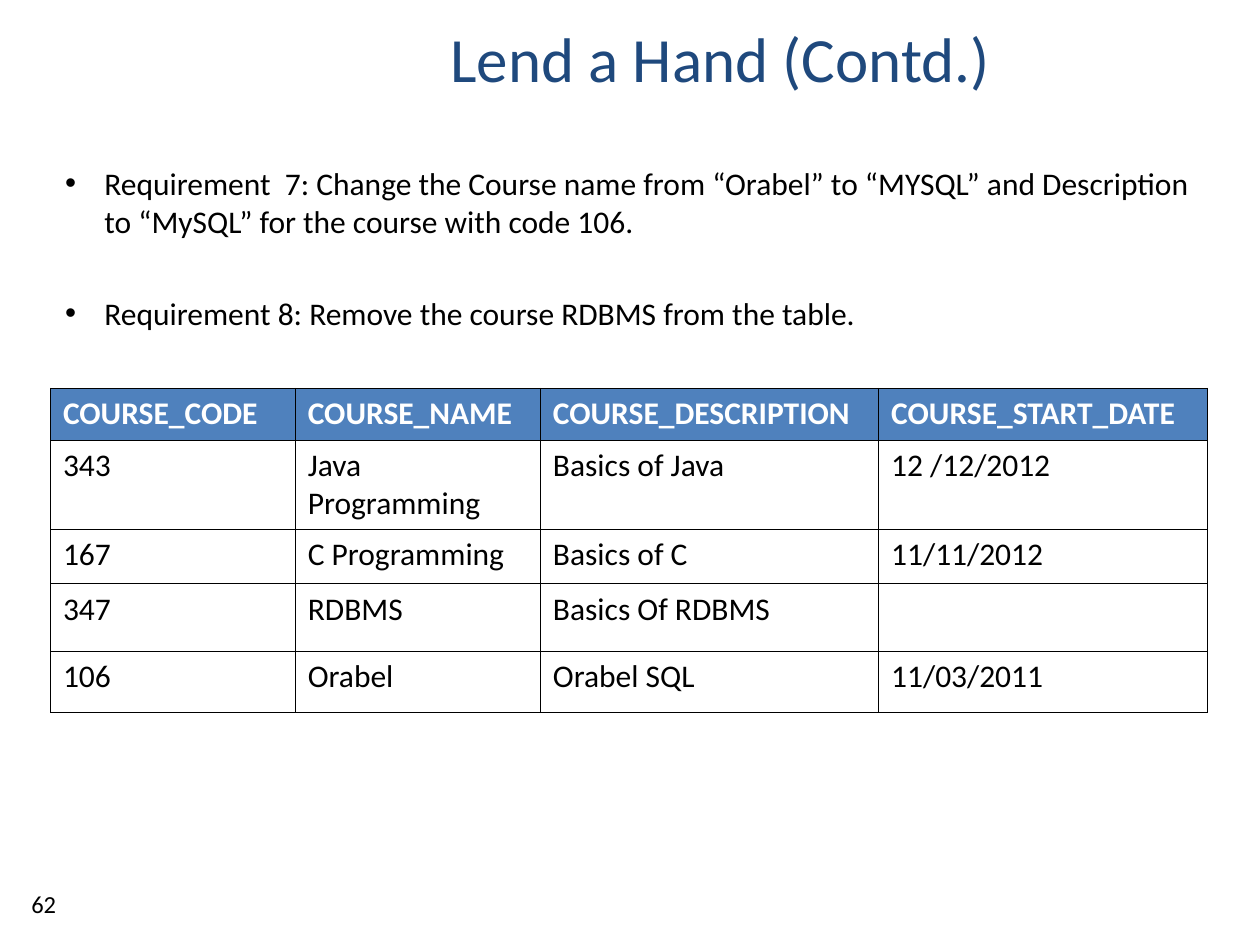
from lxml import etree
from pptx import Presentation
from pptx import util as u
from pptx.dml.color import RGBColor
from pptx.enum import text as t
from pptx.oxml.ns import qn

Pt = u.Pt
FONT = "Calibri"
BLACK, WHITE, NAVY, BLUE = "000000", "FFFFFF", "1F497D", "4F81BD"

REQUIREMENTS = [
    "Requirement  7: Change the Course name from “Orabel” to “MYSQL” and "
    "Description to “MySQL” for the course with code 106.",
    "Requirement 8: Remove the course RDBMS from the table.",
]
COURSES = [
    ["COURSE_CODE", "COURSE_NAME", "COURSE_DESCRIPTION", "COURSE_START_DATE"],
    ["343", "Java Programming", "Basics of Java", "12 /12/2012"],
    ["167", "C Programming", "Basics of C", "11/11/2012"],
    ["347", "RDBMS", "Basics Of RDBMS", ""],
    ["106", "Orabel", "Orabel SQL", "11/03/2011"],
]
COLUMN_WIDTHS = [139.9, 140.1, 193.3, 187.7]
ROW_HEIGHTS = [29.6, 50.6, 31, 38.7, 34.8]


def color(value):
    return RGBColor.from_string(value)


def write(para, words, size=18, ink=BLACK, bold=False, align=t.PP_ALIGN.LEFT):
    para.alignment = align
    if words:
        span = para.add_run()
        span.text = words
        span.font.name, span.font.size, span.font.bold = FONT, Pt(size), bold
        span.font.color.rgb = color(ink)


def place(shape, box):
    shape.left, shape.top, shape.width, shape.height = map(Pt, box)


def add_bullet(para, indent):
    props = para._p.get_or_add_pPr()
    props.set("marL", str(Pt(indent)))
    props.set("indent", str(-Pt(indent)))
    tint = etree.SubElement(props, qn("a:buClr"))
    etree.SubElement(tint, qn("a:srgbClr"), val=BLACK)
    etree.SubElement(props, qn("a:buFont"), typeface="Arial")
    etree.SubElement(props, qn("a:buChar"), char="•")


def add_borders(cell, width):
    props = cell._tc.get_or_add_tcPr()
    for index, side in enumerate(("a:lnL", "a:lnR", "a:lnT", "a:lnB")):
        line = etree.Element(qn(side), w=str(Pt(width)))
        fill = etree.SubElement(line, qn("a:solidFill"))
        etree.SubElement(fill, qn("a:srgbClr"), val=BLACK)
        props.insert(index, line)


def set_title(page, box, words):
    title = page.shapes.title
    place(title, box)
    frame = title.text_frame
    frame.vertical_anchor = t.MSO_ANCHOR.MIDDLE
    write(frame.paragraphs[0], words, size=36, ink=NAVY, align=t.PP_ALIGN.CENTER)


def set_requirements(page, box):
    body = page.placeholders[1]
    place(body, box)
    frame = body.text_frame
    frame.auto_size = t.MSO_AUTO_SIZE.NONE
    frame.vertical_anchor = t.MSO_ANCHOR.TOP
    for index, words in enumerate(REQUIREMENTS):
        para = frame.add_paragraph() if index else frame.paragraphs[0]
        add_bullet(para, 22.5)
        para.space_before = Pt(31 if index else 0)
        write(para, words)


def add_courses(page, left, top):
    table = page.shapes.add_table(
        len(COURSES), len(COLUMN_WIDTHS), Pt(left), Pt(top),
        Pt(sum(COLUMN_WIDTHS)), Pt(sum(ROW_HEIGHTS))).table
    for column, width in zip(table.columns, COLUMN_WIDTHS):
        column.width = Pt(width)
    for index, (row, height) in enumerate(zip(table.rows, ROW_HEIGHTS)):
        row.height = Pt(height)
        header = index == 0
        for cell, words in zip(row.cells, COURSES[index]):
            if header:
                cell.fill.solid()
                cell.fill.fore_color.rgb = color(BLUE)
            else:
                cell.fill.background()
            add_borders(cell, 0.45)
            write(cell.text_frame.paragraphs[0], words,
                  ink=WHITE if header else BLACK, bold=header)


def add_page_number(page, box, number):
    frame = page.shapes.add_textbox(*map(Pt, box)).text_frame
    frame.word_wrap = True
    write(frame.paragraphs[0], number, size=14)


def main():
    deck = Presentation()
    deck.slide_width, deck.slide_height = Pt(720), Pt(540)
    page = deck.slides.add_slide(deck.slide_layouts[1])
    set_title(page, (103, 0, 617, 66), "Lend a Hand (Contd.)")
    set_requirements(page, (30, 90, 660, 389.5))
    add_courses(page, 28.8, 221.8)
    add_page_number(page, (10.8, 504.7, 36, 21.6), "62")
    deck.save("out.pptx")


if __name__ == "__main__":
    main()
